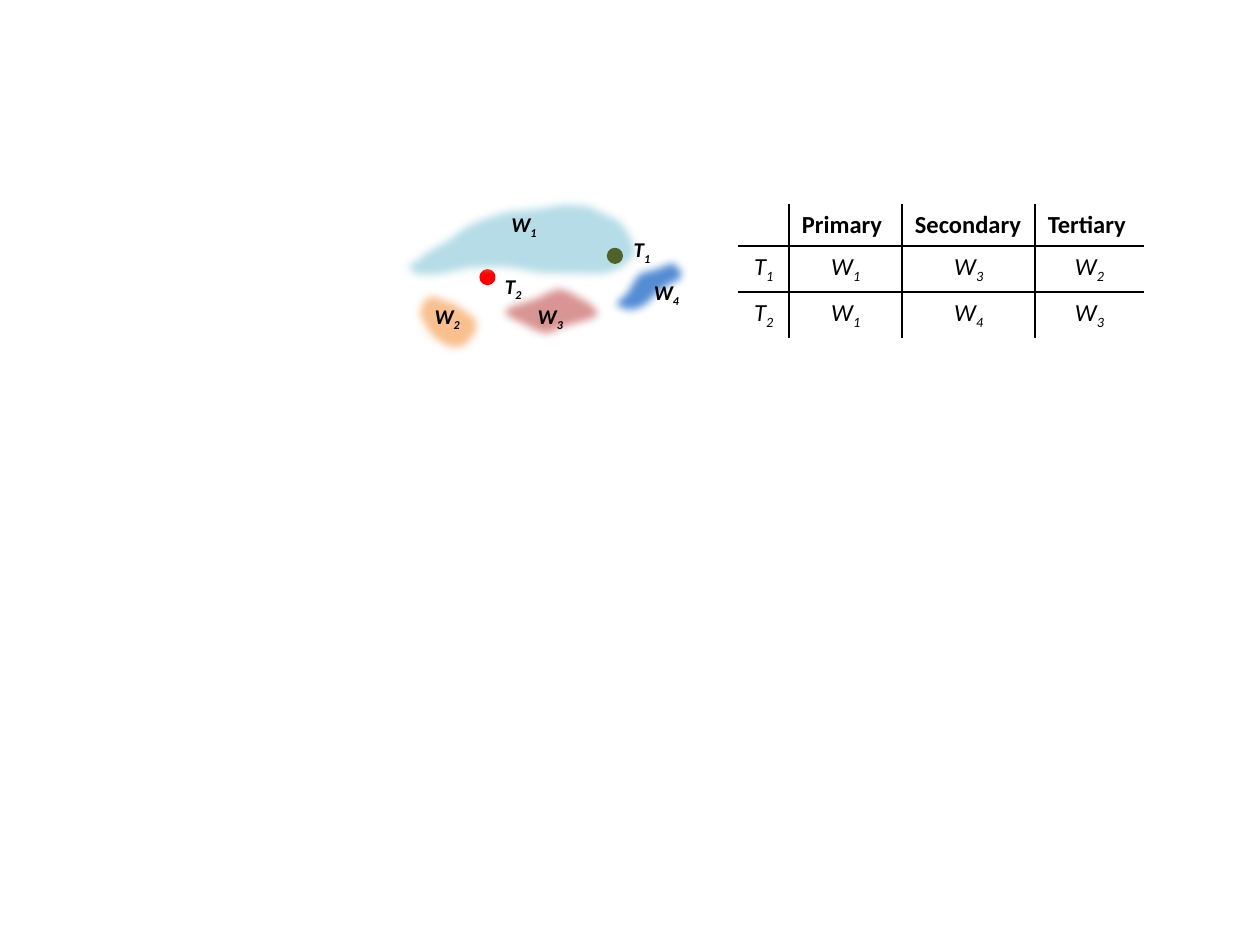
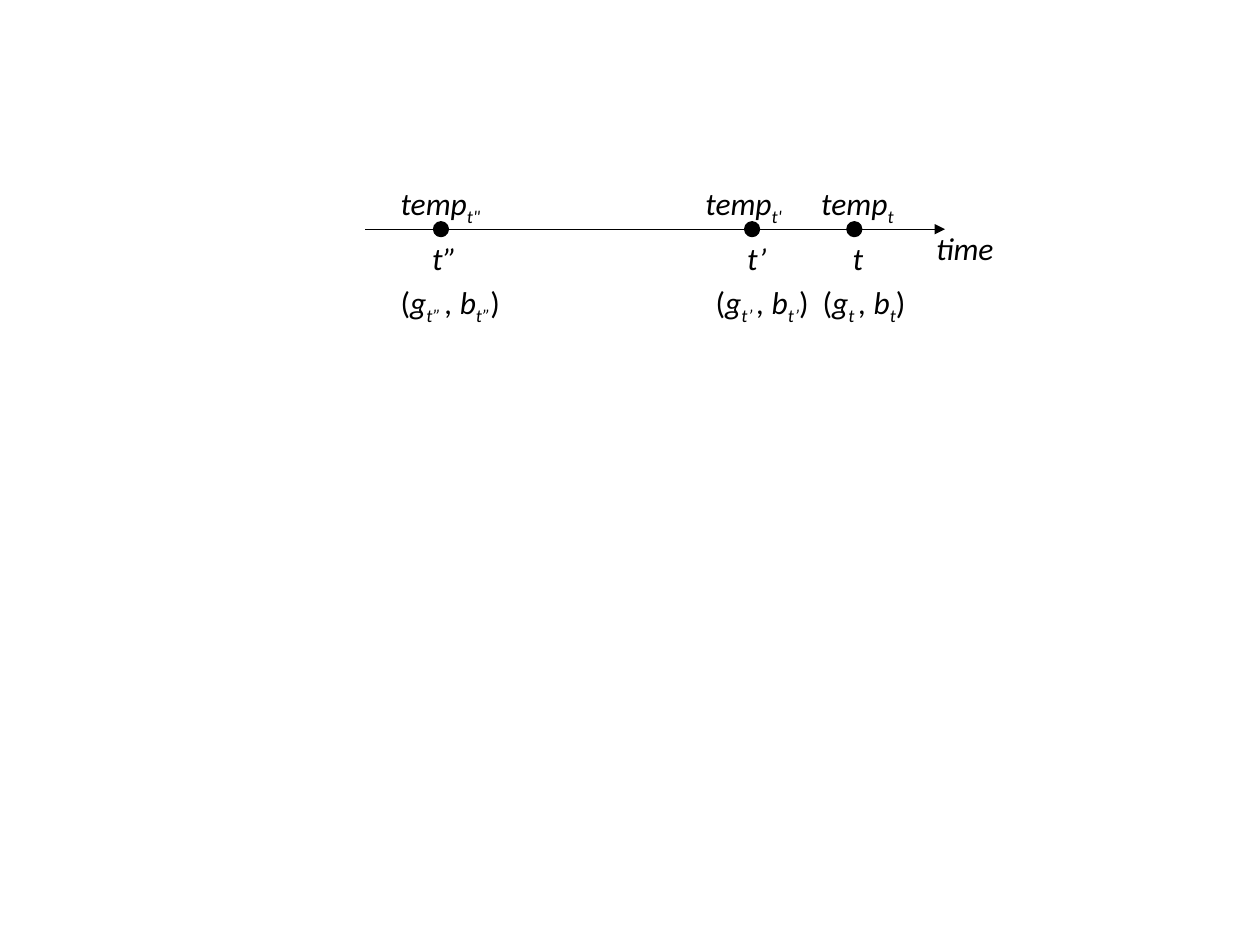
import itertools

import pptx
import pptx.dml.color
import pptx.enum.shapes
import pptx.enum.text
import pptx.oxml.ns
import pptx.util
from lxml import etree

Pt = pptx.util.Pt
RGBColor = pptx.dml.color.RGBColor
qn = pptx.oxml.ns.qn
PP_ALIGN = pptx.enum.text.PP_ALIGN

FONT = "Calibri"
BLACK = RGBColor(0x00, 0x00, 0x00)
RED = RGBColor(0xFF, 0x00, 0x00)
GREEN = RGBColor(0x4F, 0x62, 0x28)
LIGHT_BLUE = RGBColor(0xB7, 0xDE, 0xE8)
ORANGE = RGBColor(0xFA, 0xC0, 0x90)
ROSE = RGBColor(0xD9, 0x96, 0x94)
BLUE = RGBColor(0x55, 0x8E, 0xD5)


def write(text_frame, text, size=18, bold=False, italic=True, align=PP_ALIGN.LEFT):
    """Write one line: underscores switch subscript on and off, brackets stay upright."""
    paragraph = text_frame.paragraphs[0]
    paragraph.alignment = align
    for number, part in enumerate(text.split("_")):
        for upright, letters in itertools.groupby(part, key=lambda letter: letter in "()"):
            run = paragraph.add_run()
            run.text = "".join(letters)
            run.font.name = FONT
            run.font.size = Pt(size)
            run.font.bold = bold
            run.font.italic = italic and not upright
            run.font.color.rgb = BLACK
            if number % 2:
                run.font._element.set("baseline", "-25000")


def add_dot(slide, left, top, color):
    dot = slide.shapes.add_shape(
        pptx.enum.shapes.MSO_SHAPE.OVAL, Pt(left), Pt(top), Pt(7.2), Pt(7.2))
    dot.shadow.inherit = False
    dot.fill.solid()
    dot.fill.fore_color.rgb = color
    dot.line.color.rgb = color
    dot.line.width = Pt(2)


presentation = pptx.Presentation()
presentation.slide_width = Pt(720)
presentation.slide_height = Pt(540)
blank_layout = presentation.slide_layouts[6]
map_slide = presentation.slides.add_slide(blank_layout)
timeline_slide = presentation.slides.add_slide(blank_layout)

# Map: soft-edged regions
regions = [
    (LIGHT_BLUE, [
        (237, 140.5), (252, 132), (259, 126.5), (263, 124), (273.5, 119.5), (286, 116),
        (303, 114.5), (320.5, 111.5), (341, 113), (350.5, 117.5), (358, 121), (362, 125.5),
        (366.5, 134), (368, 143.5), (367, 150.5), (360.5, 157), (353.5, 160), (347, 161),
        (304.5, 160.5), (294, 158.5), (285, 157), (273, 157.5), (261.5, 160), (250, 162),
        (232.5, 161), (227, 155), (227.5, 147), (234.5, 143.5)]),
    (ORANGE, [
        (237, 169), (234, 175.5), (235.5, 185), (239, 192), (242.5, 196.5), (249, 201.5),
        (256.5, 203.5), (268.5, 202.5), (271, 201.5), (276.5, 194.5), (277.5, 188),
        (276.5, 177), (271.5, 173.5), (267, 170), (258.5, 166.5), (250.5, 163.5),
        (240, 165), (236, 168)]),
    (ROSE, [
        (296, 168), (304.5, 165), (306.5, 163.5), (315.5, 160), (323.5, 160.5),
        (328.5, 161.5), (341.5, 168.5), (346.5, 173.5), (348.5, 175.5), (349, 182),
        (343.5, 187), (335, 189.5), (327.5, 191.5), (321, 194.5), (316, 196), (309, 196),
        (303, 194.5), (286, 186), (282, 182), (281, 175.5), (287.5, 170.5)]),
    (BLUE, [
        (363.5, 151), (371, 149), (378.5, 146), (384, 144), (386.5, 144.5), (391, 147),
        (394.5, 151), (396.5, 155.5), (394.5, 161.5), (392.5, 165.5), (388, 167),
        (379.5, 173), (376, 177), (371, 180.5), (364.5, 182), (353.5, 181.5),
        (348, 179.5), (345, 175), (346.5, 170), (350.5, 165.5), (354, 162.5),
        (358, 155.5), (360.5, 152)]),
]
add_dot(map_slide, 275, 154.8, RED)
for color, outline in regions:
    corners = [(Pt(x), Pt(y)) for x, y in outline]
    builder = map_slide.shapes.build_freeform(*corners[0])
    builder.add_line_segments(corners[1:], close=True)
    region = builder.convert_to_shape()
    region.shadow.inherit = False
    region.fill.solid()
    region.fill.fore_color.rgb = color
    region.line.fill.background()
    effects = region._element.spPr.find(qn("a:effectLst"))
    etree.SubElement(effects, qn("a:softEdge"), rad=str(Pt(5)))
add_dot(map_slide, 347.8, 142.6, GREEN)

# Labels of both slides: text, left, top, width
map_labels = [
    ("T_1", 355, 131.8, 24.5), ("T_2", 281.5, 152.6, 24.5),
    ("W_1", 285.1, 117.4, 29.5), ("W_2", 241.2, 169.9, 29.5),
    ("W_3", 300.2, 169.9, 29.5), ("W_4", 366.5, 156.2, 29.5),
]
NAME_TOP, TIME_TOP, PAIR_TOP = 101.5, 133.2, 158.4
timeline_labels = [
    ("time", 527.8, 127.4, 48.2),
    ("t", 480.2, TIME_TOP, 20.9),
    ("t’", 419.8, TIME_TOP, 25.9),
    ("t”", 239.8, TIME_TOP, 28.8),
    ("temp_t", 462.2, NAME_TOP, 56.9),
    ("temp_t'", 396, NAME_TOP, 59.8),
    ('temp_t"', 221.8, NAME_TOP, 61.9),
    ("(g_t” _, b_t”_)", 221.8, PAIR_TOP, 74.2),
    ("(g_t’ _, b_t’_)", 401.8, PAIR_TOP, 70.6),
    ("(g_t _, b_t_)", 463, PAIR_TOP, 64.1),
]
for slide, labels, size, height, bold in [
    (map_slide, map_labels, 12, 21.8, True),
    (timeline_slide, timeline_labels, 18, 29, False),
]:
    for text, left, top, width in labels:
        label = slide.shapes.add_textbox(Pt(left), Pt(top), Pt(width), Pt(height))
        label.text_frame.word_wrap = False
        label.text_frame.auto_size = pptx.enum.text.MSO_AUTO_SIZE.SHAPE_TO_FIT_TEXT
        write(label.text_frame, text, size=size, bold=bold)

# Table of the regions each point belongs to, with inner rules only
rows = [
    ["", "Primary", "Secondary", "Tertiary"],
    ["T_1", "W_1", "W_3", "W_2"],
    ["T_2", "W_1", "W_4", "W_3"],
]
column_widths = [29.1, 64.6, 76, 62]
table = map_slide.shapes.add_table(
    len(rows), len(column_widths), Pt(421.9), Pt(116.6), Pt(sum(column_widths)), Pt(72)).table
table.first_row = False
table.horz_banding = False
for column, width in zip(table.columns, column_widths):
    column.width = Pt(width)
for row_number, row in enumerate(rows):
    for column_number, text in enumerate(row):
        cell = table.cell(row_number, column_number)
        header = row_number == 0
        if text:
            write(cell.text_frame, text, size=14, bold=header, italic=not header,
                  align=PP_ALIGN.LEFT if header else PP_ALIGN.CENTER)
        else:
            etree.SubElement(cell.text_frame.paragraphs[0]._p, qn("a:endParaRPr"), sz="1400")
        properties = cell._tc.get_or_add_tcPr()
        inner_sides = {
            "a:lnL": column_number > 0,
            "a:lnR": column_number < len(row) - 1,
            "a:lnT": row_number > 0,
            "a:lnB": row_number < len(rows) - 1,
        }
        for side, inner in inner_sides.items():
            border = etree.SubElement(properties, qn(side), w=str(Pt(1)))
            if inner:
                fill = etree.SubElement(border, qn("a:solidFill"))
                etree.SubElement(fill, qn("a:srgbClr"), val=str(BLACK))
            else:
                etree.SubElement(border, qn("a:noFill"))
        cell.fill.background()

# Time axis with its three moments
axis = timeline_slide.shapes.add_connector(
    pptx.enum.shapes.MSO_CONNECTOR.STRAIGHT, Pt(208.8), Pt(131), Pt(540), Pt(131))
axis.line.color.rgb = BLACK
axis.line.width = Pt(0.75)
etree.SubElement(axis.line._get_or_add_ln(), qn("a:tailEnd"), type="triangle")
etree.SubElement(axis._element.spPr, qn("a:effectLst"))
for left in (248.4, 426.2, 484.6):
    add_dot(timeline_slide, left, 127.4, BLACK)

presentation.save("out.pptx")
